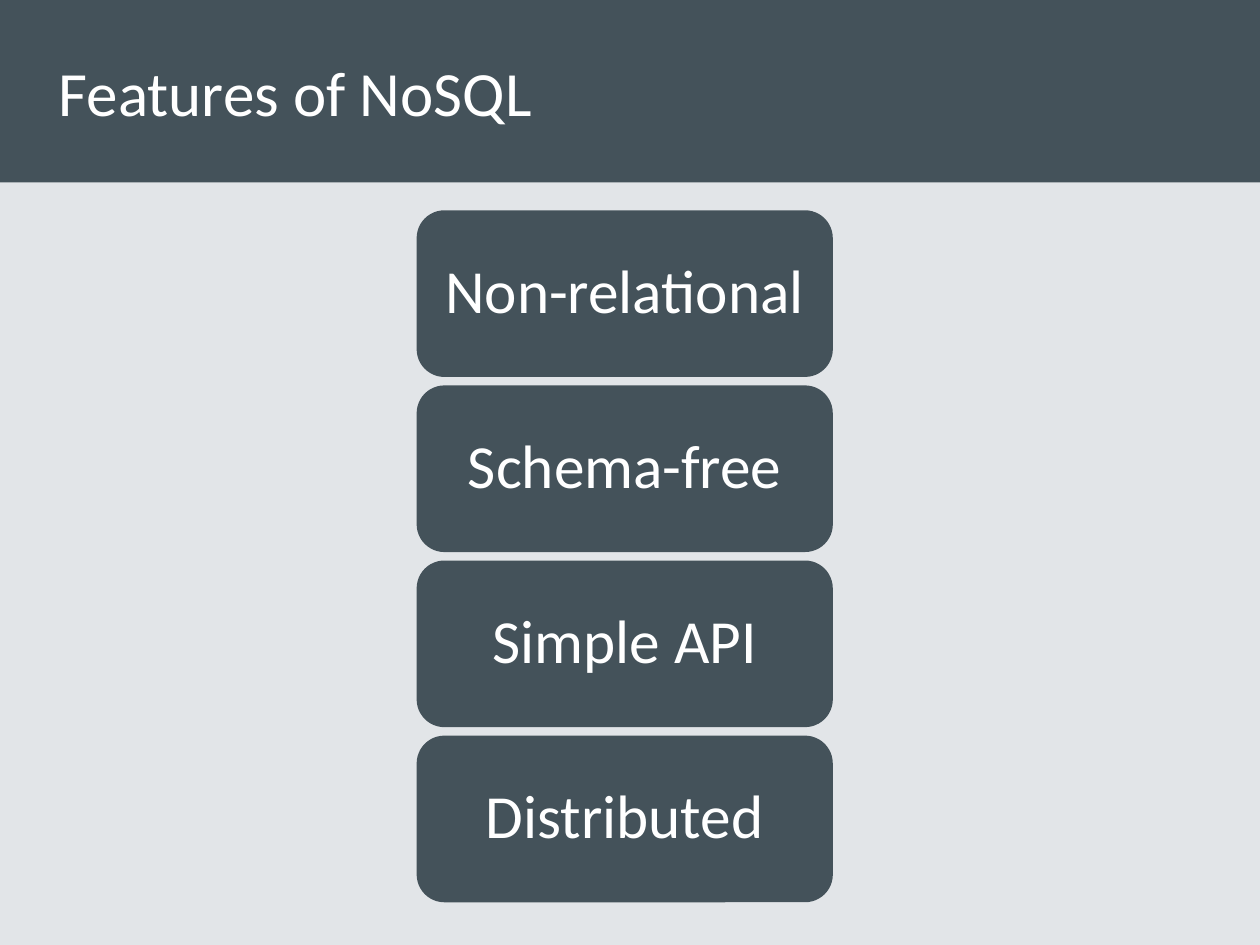
from pptx import Presentation
from pptx.dml.color import RGBColor
from pptx.enum.shapes import MSO_SHAPE
from pptx.enum.text import MSO_ANCHOR, PP_ALIGN
from pptx.util import Cm, Pt

RECTANGLE = MSO_SHAPE.RECTANGLE
ROUNDED = MSO_SHAPE.ROUNDED_RECTANGLE
MIDDLE = MSO_ANCHOR.MIDDLE
LEFT, CENTER = PP_ALIGN.LEFT, PP_ALIGN.CENTER

COLORS = {"background": "E2E5E8", "slate": "44525A", "text": "FFFFFF"}
FONT = "Calibri"
FEATURES = ["Non-relational", "Schema-free", "Simple API", "Distributed"]

# Feature stack, in centimetres
STACK_LEFT, STACK_TOP = 8.4, 4.24
CARD_WIDTH, CARD_HEIGHT, CARD_PITCH = 8.39, 3.36, 3.53


def color(name):
    return RGBColor.from_string(COLORS[name])


def add_block(slide, kind, left, top, width, height):
    block = slide.shapes.add_shape(kind, Cm(left), Cm(top), Cm(width), Cm(height))
    block.shadow.inherit = False
    block.fill.solid()
    block.fill.fore_color.rgb = color("slate")
    block.line.fill.background()
    return block


def write(frame, text, size, alignment):
    frame.word_wrap = True
    frame.vertical_anchor = MIDDLE
    paragraph = frame.paragraphs[0]
    paragraph.text = text
    paragraph.alignment = alignment
    paragraph.font.name = FONT
    paragraph.font.size = Pt(size)
    paragraph.font.color.rgb = color("text")
    return paragraph


def add_title(slide, text):
    title = slide.shapes.add_textbox(Cm(0.94), Cm(0), Cm(23.29), Cm(3.68))
    write(title.text_frame, text, 36, LEFT)


def add_feature(slide, index, text):
    card = add_block(slide, ROUNDED, STACK_LEFT, STACK_TOP + index * CARD_PITCH,
                     CARD_WIDTH, CARD_HEIGHT)
    frame = card.text_frame
    frame.margin_left = frame.margin_right = Cm(0.37)
    write(frame, text, 35, CENTER).line_spacing = 0.9


def main():
    prs = Presentation()
    prs.slide_width, prs.slide_height = Cm(25.4), Cm(19.05)
    slide = prs.slides.add_slide(prs.slide_layouts[6])
    slide.background.fill.solid()
    slide.background.fill.fore_color.rgb = color("background")

    # Header band
    add_block(slide, RECTANGLE, 0, 0, 25.4, 3.68)

    # Feature cards
    for index, feature in enumerate(FEATURES):
        add_feature(slide, index, feature)

    # Title
    add_title(slide, "Features of NoSQL")

    prs.save("out.pptx")


if __name__ == "__main__":
    main()
